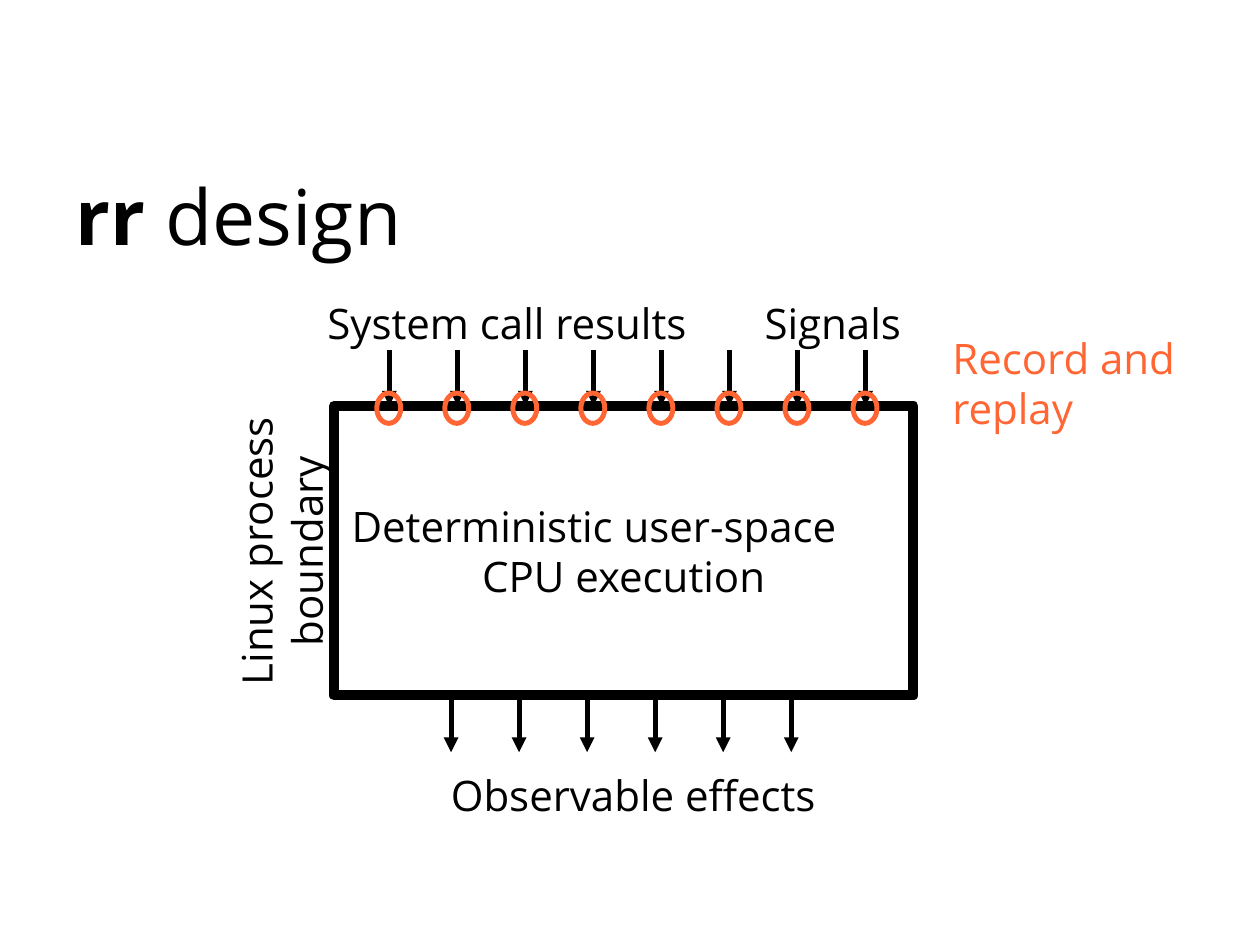
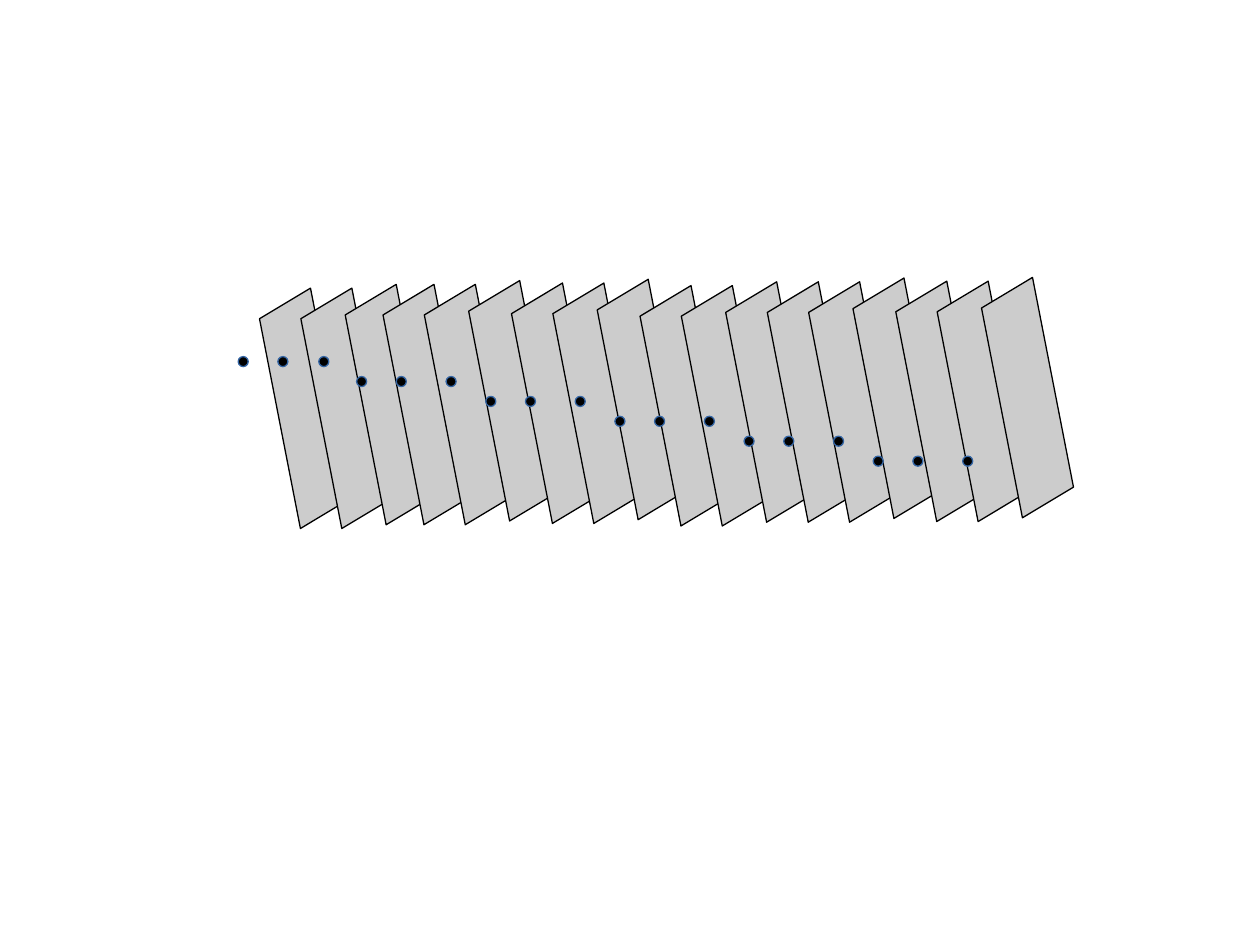
from dataclasses import dataclass

from lxml import etree
from pptx import Presentation
from pptx.dml.color import RGBColor
from pptx.enum.shapes import MSO_CONNECTOR, MSO_SHAPE
from pptx.enum.text import MSO_ANCHOR, MSO_AUTO_SIZE, PP_ALIGN
from pptx.oxml.ns import qn
from pptx.util import Inches, Pt

LEFT, CENTER = PP_ALIGN.LEFT, PP_ALIGN.CENTER
MIDDLE, TOP = MSO_ANCHOR.MIDDLE, MSO_ANCHOR.TOP
RECT, OVAL = MSO_SHAPE.RECTANGLE, MSO_SHAPE.OVAL
STRAIGHT = MSO_CONNECTOR.STRAIGHT
FIXED = MSO_AUTO_SIZE.NONE

WIDTH, HEIGHT = Inches(10), Inches(7.5)
COL, ROW = WIDTH / 100, HEIGHT / 75


@dataclass(frozen=True)
class Theme:
    font: str = "Open Sans"
    ink: str = "000000"
    paper: str = "FFFFFF"
    accent: str = "FF6633"
    panel: str = "CCCCCC"
    rim: str = "3465A4"
    title: float = 44
    body: float = 24
    thick: float = 5.67
    line: float = 2.83
    thin: float = 0.75


@dataclass(frozen=True)
class Box:
    x: float
    y: float
    w: float
    h: float

    def sub(self, x, y, w, h):
        return Box(self.x + x, self.y + y, w, h)

    def place(self):
        return (*point(self.x, self.y), *point(self.w, self.h))


THEME = Theme()
PAGE = Box(0, 0, 100, 75)


def point(x, y):
    return round(x * COL), round(y * ROW)


def color(code):
    return RGBColor.from_string(code)


def style(shape, fill, line, width):
    shape.shadow.inherit = False
    if fill:
        shape.fill.solid()
        shape.fill.fore_color.rgb = color(fill)
    else:
        shape.fill.background()
    shape.line.color.rgb = color(line)
    shape.line.width = Pt(width)


def draw(slide, kind, box, fill, line, width):
    shape = slide.shapes.add_shape(kind, *box.place())
    style(shape, fill, line, width)
    return shape


def set_frame(frame, anchor, side, edge, wrap=True):
    frame.auto_size = FIXED
    frame.word_wrap = wrap
    frame.vertical_anchor = anchor
    frame.margin_left = frame.margin_right = Inches(side)
    frame.margin_top = frame.margin_bottom = Inches(edge)


def set_font(para, size, ink, align=LEFT):
    para.alignment = align
    for run in para.runs:
        run.font.name = THEME.font
        run.font.size = Pt(size)
        run.font.color.rgb = color(ink)
        run.font.bold = False


def add_label(slide, box, text, ink=THEME.ink, align=LEFT, turn=0, side=0.1, edge=0.05):
    label = slide.shapes.add_textbox(*box.place())
    label.rotation = turn
    frame = label.text_frame
    set_frame(frame, TOP, side, edge)
    frame.text = text
    set_font(frame.paragraphs[0], THEME.body, ink, align)


def add_title(slide, box):
    title = slide.shapes.title
    title.left, title.top, title.width, title.height = box.place()
    frame = title.text_frame
    set_frame(frame, MIDDLE, 0.1, 0.05)
    para = frame.paragraphs[0]
    for text in ("rr", " design"):
        para.add_run().text = text
    set_font(para, THEME.title, THEME.ink)
    para.runs[0].font.bold = True


def add_arrows(slide, box, count, step):
    for i in range(count):
        x = box.x + i * step
        arrow = slide.shapes.add_connector(
            STRAIGHT, *point(x, box.y), *point(x, box.y + box.h))
        arrow.line.color.rgb = color(THEME.ink)
        arrow.line.width = Pt(THEME.line)
        line = arrow.line._get_or_add_ln()
        etree.SubElement(line, qn("a:tailEnd"), type="triangle")
        etree.SubElement(arrow._element.spPr, qn("a:effectLst"))


def add_rings(slide, box, count, step):
    for i in range(count):
        ring = box.sub(i * step, 0, box.w, box.h)
        draw(slide, OVAL, ring, None, THEME.accent, THEME.line)


def add_core(slide, box):
    core = draw(slide, RECT, box, THEME.paper, THEME.ink, THEME.thick)
    frame = core.text_frame
    set_frame(frame, MIDDLE, 0.14, 0.09, wrap=False)
    frame.text = "Deterministic user-space\nCPU execution"
    for para, align in zip(frame.paragraphs, (LEFT, CENTER)):
        set_font(para, THEME.body, THEME.ink, align)


def add_flow(slide, box):
    step = 5.4
    add_core(slide, box)
    add_label(slide, box.sub(-20.9, 5.4, 35.7, 12.3), "Linux process boundary",
              align=CENTER, turn=270, side=0.05, edge=0.1)
    add_label(slide, box.sub(-1.5, -9.1, 31.3, 4.6), "System call results")
    add_label(slide, box.sub(33.2, -9.1, 31.3, 4.6), "Signals")
    add_label(slide, box.sub(8.3, 28.4, 31.3, 4.6), "Observable effects")
    add_arrows(slide, box.sub(4.4, -4.4, 0, 4.4), 8, step)
    add_arrows(slide, box.sub(9.3, 23.1, 0, 4.4), 6, step)
    add_rings(slide, box.sub(3.4, -1, 1.9, 2.4), 8, step)
    add_label(slide, box.sub(48.1, -6.3, 25.4, 8.4), "Record and replay", THEME.accent)


def add_panel(slide, box):
    rise, lean = 2.43, 3.25
    spots = [
        point(box.x, box.y),
        point(box.x + box.w, box.y - rise),
        point(box.x + box.w + lean, box.y - rise + box.h),
        point(box.x + lean, box.y + box.h),
    ]
    path = slide.shapes.build_freeform(*spots[0])
    path.add_line_segments(spots[1:], close=True)
    style(path.convert_to_shape(), THEME.panel, THEME.ink, THEME.thin)


def add_stack(slide, box):
    starts = ((0, 0), (9.8, -0.3), (20, -0.4), (30.2, -0.2), (40.3, -0.5), (50.5, -0.55))
    shifts = ((0, 0), (3.28, 0), (6.8, -0.3))
    for x, y in starts:
        for dx, dy in shifts:
            add_panel(slide, box.sub(x + dx, y + dy, 4.05, 16.65))


def add_trail(slide, box):
    for row in range(6):
        start = 9.4 + (row - 1) * 10.25 if row else 0
        shifts = (0, 3.15, 7.1) if row else (0, 3.15, 6.4)
        for dx in shifts:
            dot = box.sub(start + dx, row * 1.58, 0.8, 0.8)
            draw(slide, OVAL, dot, THEME.ink, THEME.rim, THEME.thin)


def build_design(slide, box):
    add_title(slide, box.sub(5, 11.5, 89.9, 11))
    add_flow(slide, box.sub(26.5, 32.2, 46, 23))


def build_panels(slide, box):
    add_stack(slide, box.sub(20.6, 25.3, 65, 20))
    add_trail(slide, box.sub(18.9, 28.3, 58, 9))


def main():
    deck = Presentation()
    deck.slide_width, deck.slide_height = WIDTH, HEIGHT
    for layout, build in ((5, build_design), (6, build_panels)):
        slide = deck.slides.add_slide(deck.slide_layouts[layout])
        build(slide, PAGE)
    deck.save("out.pptx")


if __name__ == "__main__":
    main()
